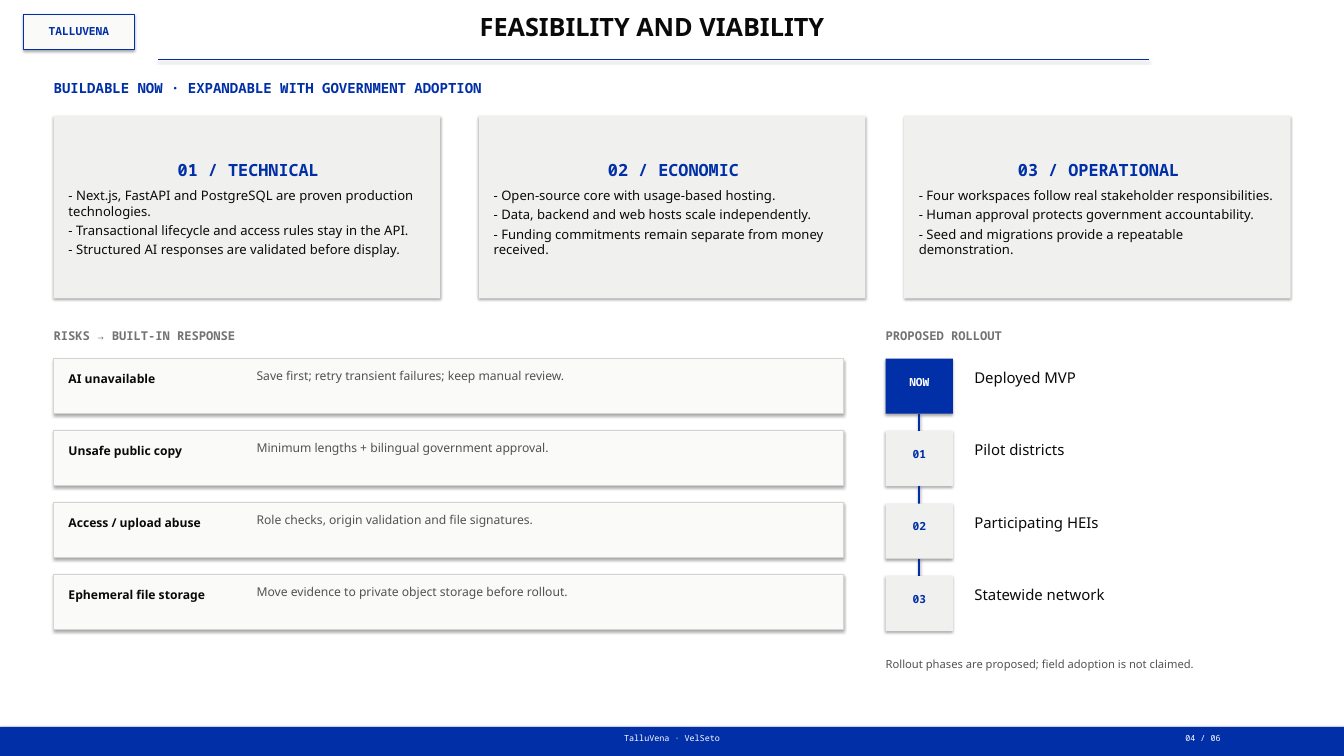
from typing import Any, NamedTuple

from pptx import Presentation
from pptx import util as u
from pptx.dml.color import RGBColor
from pptx.enum import shapes, text

BLUE = RGBColor(0x00, 0x2F, 0xA7)
INK = RGBColor(0x0A, 0x0A, 0x0A)
BODY_GRAY = RGBColor(0x52, 0x52, 0x52)
HEAD_GRAY = RGBColor(0x73, 0x73, 0x73)
BORDER = RGBColor(0xD4, 0xD4, 0xD2)
PANEL = RGBColor(0xF0, 0xF0, 0xEE)
PAPER = RGBColor(0xFA, 0xFA, 0xF8)
WHITE = RGBColor(0xFF, 0xFF, 0xFF)
SANS, MONO = "Noto Sans", "Noto Sans Mono"


class Box(NamedTuple):
    """Left, top, width and height in centimetres."""
    left: float
    top: float
    width: float
    height: float

    def lengths(self) -> list[u.Cm]:
        return [u.Cm(value) for value in self]


class Style(NamedTuple):
    size: float
    name: str
    color: RGBColor
    bold: bool = False


class Card(NamedTuple):
    heading: str
    points: tuple[str, ...]


class Risk(NamedTuple):
    name: str
    response: str


class Phase(NamedTuple):
    mark: str
    name: str
    fill: RGBColor = PANEL
    mark_color: RGBColor = BLUE


CARDS = (
    Card("01 / TECHNICAL", (
        "- Next.js, FastAPI and PostgreSQL are proven production technologies.",
        "- Transactional lifecycle and access rules stay in the API.",
        "- Structured AI responses are validated before display.")),
    Card("02 / ECONOMIC", (
        "- Open-source core with usage-based hosting.",
        "- Data, backend and web hosts scale independently.",
        "- Funding commitments remain separate from money received.")),
    Card("03 / OPERATIONAL", (
        "- Four workspaces follow real stakeholder responsibilities.",
        "- Human approval protects government accountability.",
        "- Seed and migrations provide a repeatable demonstration.")),
)
RISKS = (
    Risk("AI unavailable", "Save first; retry transient failures; keep manual review."),
    Risk("Unsafe public copy", "Minimum lengths + bilingual government approval."),
    Risk("Access / upload abuse", "Role checks, origin validation and file signatures."),
    Risk("Ephemeral file storage", "Move evidence to private object storage before rollout."),
)
PHASES = (
    Phase("NOW", "Deployed MVP", BLUE, WHITE),
    Phase("01", "Pilot districts"),
    Phase("02", "Participating HEIs"),
    Phase("03", "Statewide network"),
)

LEFT, ROLLOUT_LEFT = 2.03, 33.48
CARD_STEP, RISK_STEP, PHASE_STEP = 16.07, 2.72, 2.74
ROWS_TOP, ROW_HEIGHT = 13.56, 2.08


def set_attributes(target: Any, values: dict[str, Any]) -> None:
    for name, value in values.items():
        setattr(target, name, value)


def write(paragraph: Any, words: str, style: Style, align: Any = None) -> None:
    paragraph.text = words
    paragraph.alignment = align
    font = paragraph.runs[0].font
    set_attributes(font, {"size": u.Pt(style.size), "name": style.name, "bold": style.bold})
    font.color.rgb = style.color


def format_frame(frame: Any, anchor: Any, insets: tuple[float, ...], fit: Any) -> None:
    left, top, right, bottom = (u.Cm(inset) for inset in insets)
    set_attributes(frame, {
        "word_wrap": True, "auto_size": fit, "vertical_anchor": anchor,
        "margin_left": left, "margin_top": top,
        "margin_right": right, "margin_bottom": bottom})


def add_label(slide: Any, box: Box, words: str, style: Style, centered: bool = False) -> None:
    frame = slide.shapes.add_textbox(*box.lengths()).text_frame
    anchor = text.MSO_ANCHOR.MIDDLE if centered else text.MSO_ANCHOR.TOP
    format_frame(frame, anchor, (0, 0, 0, 0), text.MSO_AUTO_SIZE.SHAPE_TO_FIT_TEXT)
    write(frame.paragraphs[0], words, style, text.PP_ALIGN.CENTER if centered else None)


def add_panel(slide: Any, box: Box, fill: RGBColor, border: RGBColor | None = None,
              border_width: float = 0.8) -> Any:
    """Add a rectangle that keeps the theme's soft shadow."""
    shape = slide.shapes.add_shape(shapes.MSO_SHAPE.RECTANGLE, *box.lengths())
    shape.fill.solid()
    shape.fill.fore_color.rgb = fill
    if border is None:
        shape.line.fill.background()
    else:
        shape.line.color.rgb = border
        shape.line.width = u.Pt(border_width)
    return shape


def add_line(slide: Any, x1: float, y1: float, x2: float, y2: float, width: float) -> None:
    ends = [u.Cm(value) for value in (x1, y1, x2, y2)]
    line = slide.shapes.add_connector(shapes.MSO_CONNECTOR.STRAIGHT, *ends).line
    line.color.rgb = BLUE
    line.width = u.Pt(width)


def add_card(slide: Any, left: float, card: Card) -> None:
    frame = add_panel(slide, Box(left, 4.37, 14.61, 6.91), PANEL).text_frame
    format_frame(frame, text.MSO_ANCHOR.MIDDLE, (0.56, 0.43, 0.46, 0.3), text.MSO_AUTO_SIZE.NONE)
    heading = frame.paragraphs[0]
    write(heading, card.heading, Style(18, MONO, BLUE, True), text.PP_ALIGN.CENTER)
    heading.space_after = u.Pt(8)
    for point in card.points:
        paragraph = frame.add_paragraph()
        write(paragraph, point, Style(14, SANS, INK), text.PP_ALIGN.LEFT)
        paragraph.space_after = u.Pt(4)


def add_risk(slide: Any, top: float, risk: Risk) -> None:
    add_panel(slide, Box(LEFT, top, 29.85, ROW_HEIGHT), PAPER, BORDER)
    add_label(slide, Box(2.59, top + 0.48, 6.73, 0.71), risk.name, Style(13, SANS, INK, True))
    add_label(slide, Box(9.7, top + 0.38, 21.29, 1.07), risk.response, Style(13, SANS, BODY_GRAY))


def add_phase(slide: Any, top: float, phase: Phase, linked: bool) -> None:
    add_panel(slide, Box(ROLLOUT_LEFT, top, 2.54, ROW_HEIGHT), phase.fill)
    add_label(slide, Box(ROLLOUT_LEFT, top + 0.41, 2.54, 0.91), phase.mark,
              Style(12, MONO, phase.mark_color, True), centered=True)
    add_label(slide, Box(36.83, top + 0.36, 10.8, 1.12), phase.name, Style(16, SANS, INK))
    if linked:
        middle = ROLLOUT_LEFT + 1.27
        add_line(slide, middle, top + ROW_HEIGHT, middle, top + PHASE_STEP, 2)


def add_title(slide: Any, words: str) -> None:
    title = slide.shapes.title
    position = zip(("left", "top", "width", "height"), Box(5.97, 0.36, 37.34, 1.68).lengths())
    set_attributes(title, dict(position))
    format_frame(title.text_frame, text.MSO_ANCHOR.TOP, (0.08,) * 4,
                 text.MSO_AUTO_SIZE.SHAPE_TO_FIT_TEXT)
    write(title.text_frame.paragraphs[0], words, Style(27, SANS, INK, True), text.PP_ALIGN.CENTER)


def main() -> None:
    presentation = Presentation()
    presentation.slide_width, presentation.slide_height = u.Cm(50.8), u.Cm(28.58)
    slide = presentation.slides.add_slide(presentation.slide_layouts.get_by_name("Title Only"))

    # Header
    add_panel(slide, Box(0.89, 0.56, 4.19, 1.32), PAPER, BLUE, 1.2)
    add_label(slide, Box(0.89, 0.61, 4.19, 1.12), "TALLUVENA", Style(12, MONO, BLUE, True), True)
    add_title(slide, "FEASIBILITY AND VIABILITY")
    add_line(slide, 5.97, 2.24, 43.43, 2.24, 1.4)
    add_label(slide, Box(LEFT, 3, 46.74, 0.91),
              "BUILDABLE NOW · EXPANDABLE WITH GOVERNMENT ADOPTION", Style(15, MONO, BLUE, True))

    # Footer
    footer = Style(9, MONO, WHITE)
    add_panel(slide, Box(0, 27.48, 50.8, 1.1), BLUE)
    add_label(slide, Box(21.21, 27.61, 8.38, 0.61), "TalluVena · VelSeto", footer, True)
    add_label(slide, Box(44.2, 27.61, 2.54, 0.61), "04 / 06", footer, True)

    # Feasibility cards
    for index, card in enumerate(CARDS):
        add_card(slide, LEFT + index * CARD_STEP, card)

    # Risks
    section = Style(13, MONO, HEAD_GRAY, True)
    add_label(slide, Box(LEFT, 12.4, 29.85, 0.76), "RISKS → BUILT-IN RESPONSE", section)
    for index, risk in enumerate(RISKS):
        add_risk(slide, ROWS_TOP + index * RISK_STEP, risk)

    # Rollout
    add_label(slide, Box(ROLLOUT_LEFT, 12.4, 15.29, 0.76), "PROPOSED ROLLOUT", section)
    for index, phase in enumerate(PHASES):
        add_phase(slide, ROWS_TOP + index * PHASE_STEP, phase, index < len(PHASES) - 1)
    add_label(slide, Box(ROLLOUT_LEFT, 24.84, 14.99, 1.07),
              "Rollout phases are proposed; field adoption is not claimed.", Style(12, SANS, BODY_GRAY))

    presentation.save("out.pptx")


if __name__ == "__main__":
    main()
